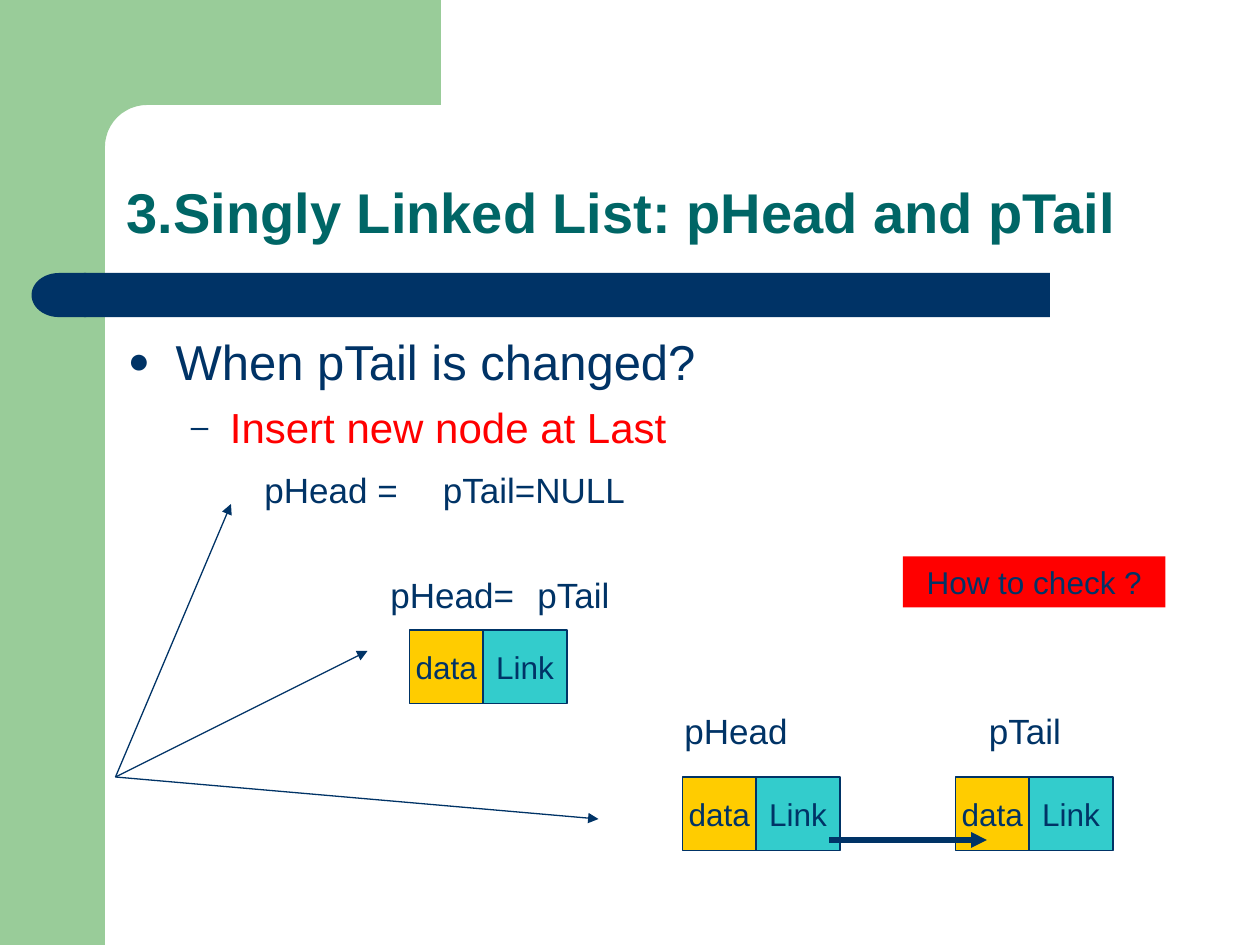
from math import cos, pi, sin
from typing import NamedTuple, Optional

from lxml import etree
from pptx import Presentation
from pptx.dml.color import RGBColor
from pptx.enum.shapes import MSO_CONNECTOR, MSO_SHAPE
from pptx.enum.text import MSO_ANCHOR, PP_ALIGN
from pptx.oxml.ns import qn
from pptx.util import Inches, Pt

RECT, DELAY = MSO_SHAPE.RECTANGLE, MSO_SHAPE.FLOWCHART_DELAY
STRAIGHT = MSO_CONNECTOR.STRAIGHT
TOP, MIDDLE, BOTTOM = MSO_ANCHOR.TOP, MSO_ANCHOR.MIDDLE, MSO_ANCHOR.BOTTOM
LEFT, CENTER = PP_ALIGN.LEFT, PP_ALIGN.CENTER

GREEN = RGBColor(0x99, 0xCC, 0x99)
NAVY = RGBColor(0x00, 0x33, 0x66)
TEAL = RGBColor(0x00, 0x66, 0x66)
RED = RGBColor(0xFF, 0x00, 0x00)
GOLD = RGBColor(0xFF, 0xCC, 0x00)
AQUA = RGBColor(0x33, 0xCC, 0xCC)

FONT = "Arial"
CELL = Inches(1) // 12  # the slide is a grid of 120 columns by 90 rows
DATA_COLS, LINK_COLS, NODE_ROWS = 7, 8, 7


class Label(NamedTuple):
    text: str
    col: float
    row: float
    cols: float


class Node(NamedTuple):
    col: float
    row: float


class Arrow(NamedTuple):
    start: tuple
    end: tuple
    width: float = 0.75


class Bullet(NamedTuple):
    text: str
    level: int
    size: int
    color: RGBColor
    char: str
    margin: float
    hang: float
    before: Optional[float] = None


LABELS = [
    Label("pHead =", 24, 44, 18),
    Label("pTail=NULL", 41, 44, 24),
    Label("pHead=", 36, 54, 16),
    Label("pTail", 50, 54, 10),
    Label("pHead", 64, 67, 16),
    Label("pTail", 93, 67, 10),
]
NODES = [Node(39, 60), Node(65, 74), Node(91, 74)]
ORIGIN = (11, 74)
ARROWS = [
    Arrow((79, 80), (94, 80), 3),
    Arrow(ORIGIN, (22, 48)),
    Arrow(ORIGIN, (35, 62)),
    Arrow(ORIGIN, (57, 78)),
]
BULLETS = [
    Bullet("When pTail is changed?", 0, 28, NAVY, "●", 0.38, 0.38),
    Bullet("Insert new node at Last", 1, 24, RED, "–", 0.81, 0.31, 6),
]


def grid(*cells: float) -> list:
    return [round(c * CELL) for c in cells]


def paint(s, fill: RGBColor, line: Optional[RGBColor] = None) -> None:
    s.shadow.inherit = False
    s.fill.solid()
    s.fill.fore_color.rgb = fill
    if line is None:
        s.line.fill.background()
    else:
        s.line.color.rgb = line
        s.line.width = Pt(0.75)


def add_run(p, text: str, size: float, color: RGBColor, bold: bool = False) -> None:
    r = p.add_run()
    r.text = text
    r.font.name, r.font.size, r.font.bold = FONT, Pt(size), bold
    r.font.color.rgb = color


def write(s, text: str, size: float, color: RGBColor = NAVY, bold: bool = False,
          align=LEFT, anchor=TOP, wrap: bool = True):
    tf = s.text_frame
    tf.word_wrap, tf.vertical_anchor = wrap, anchor
    p = tf.paragraphs[0]
    p.alignment = align
    add_run(p, text, size, color, bold)
    return p


def add_block(shapes, kind, cells: tuple, fill: RGBColor, line=None):
    s = shapes.add_shape(kind, *grid(*cells))
    paint(s, fill, line)
    return s


def add_node(shapes, node: Node) -> None:
    fields = [("data", 0, DATA_COLS, GOLD), ("Link", DATA_COLS, LINK_COLS, AQUA)]
    for text, offset, cols, fill in fields:
        s = add_block(shapes, RECT, (node.col + offset, node.row, cols, NODE_ROWS), fill, NAVY)
        write(s, text, 18, align=CENTER, anchor=MIDDLE, wrap=False)


def add_arrow(shapes, arrow: Arrow) -> None:
    s = shapes.add_connector(STRAIGHT, *grid(*arrow.start, *arrow.end))
    s.line.color.rgb = NAVY
    s.line.width = Pt(arrow.width)
    etree.SubElement(s.line._get_or_add_ln(), qn("a:tailEnd"), type="triangle")
    etree.SubElement(s._element.spPr, qn("a:effectLst"))


def add_bullet(p, item: Bullet) -> None:
    p.level = item.level
    pPr = p._p.get_or_add_pPr()
    pPr.set("marL", str(Inches(item.margin)))
    pPr.set("indent", str(-Inches(item.hang)))
    color = etree.SubElement(pPr, qn("a:buClr"))
    etree.SubElement(color, qn("a:srgbClr"), val=str(NAVY))
    etree.SubElement(pPr, qn("a:buSzPct"), val="75000")
    etree.SubElement(pPr, qn("a:buFont"), typeface=FONT)
    etree.SubElement(pPr, qn("a:buChar"), char=item.char)
    if item.before is not None:
        p.space_before = Pt(item.before)
    add_run(p, item.text, item.size, item.color)


def add_corner(shapes) -> None:
    """Top green band whose inner corner is a quarter circle."""
    center, radius, steps = 14, 4, 12
    angles = [pi / 2 * i / steps for i in range(steps + 1)]
    arc = [(center - radius * sin(a), center - radius * cos(a)) for a in angles]
    points = [(42, 10), *arc, (10, 15.33), (6, 15.33), (6, 0)]
    outline = shapes.build_freeform(42 * 100, 0, scale=CELL / 100)
    outline.add_line_segments([(x * 100, y * 100) for x, y in points], close=True)
    paint(outline.convert_to_shape(), GREEN)


def main() -> None:
    prs = Presentation()
    prs.slide_width, prs.slide_height = grid(120, 90)
    shapes = prs.slides.add_slide(prs.slide_layouts[6]).shapes

    # Background bands and title bar
    add_block(shapes, RECT, (0, 0, 10, 90), GREEN)
    add_corner(shapes)
    add_block(shapes, RECT, (8, 26, 92, 4.2), NAVY)
    add_block(shapes, DELAY, (3, 26, 5.2, 4.2), NAVY).rotation = 180

    # Title
    s = shapes.add_textbox(*grid(10.9, 10.9, 102.1, 13.1))
    p = write(s, "3.Singly Linked List: pHead and pTail", 32, TEAL, bold=True, anchor=BOTTOM)
    p.line_spacing = 0.9

    # Bulleted text
    tf = shapes.add_textbox(*grid(11, 31, 101, 48.8)).text_frame
    tf.word_wrap = True
    for i, item in enumerate(BULLETS):
        add_bullet(tf.add_paragraph() if i else tf.paragraphs[0], item)

    # List nodes, pointer labels and question
    for node in NODES:
        add_node(shapes, node)
    for label in LABELS:
        s = shapes.add_textbox(*grid(label.col, label.row, label.cols, 5.25))
        write(s, label.text, 20)
    s = add_block(shapes, RECT, (86, 53, 25, 4.85), RED)
    write(s, "How to check ?", 18, align=CENTER)

    # Arrows
    for arrow in ARROWS:
        add_arrow(shapes, arrow)

    prs.save("out.pptx")


if __name__ == "__main__":
    main()
